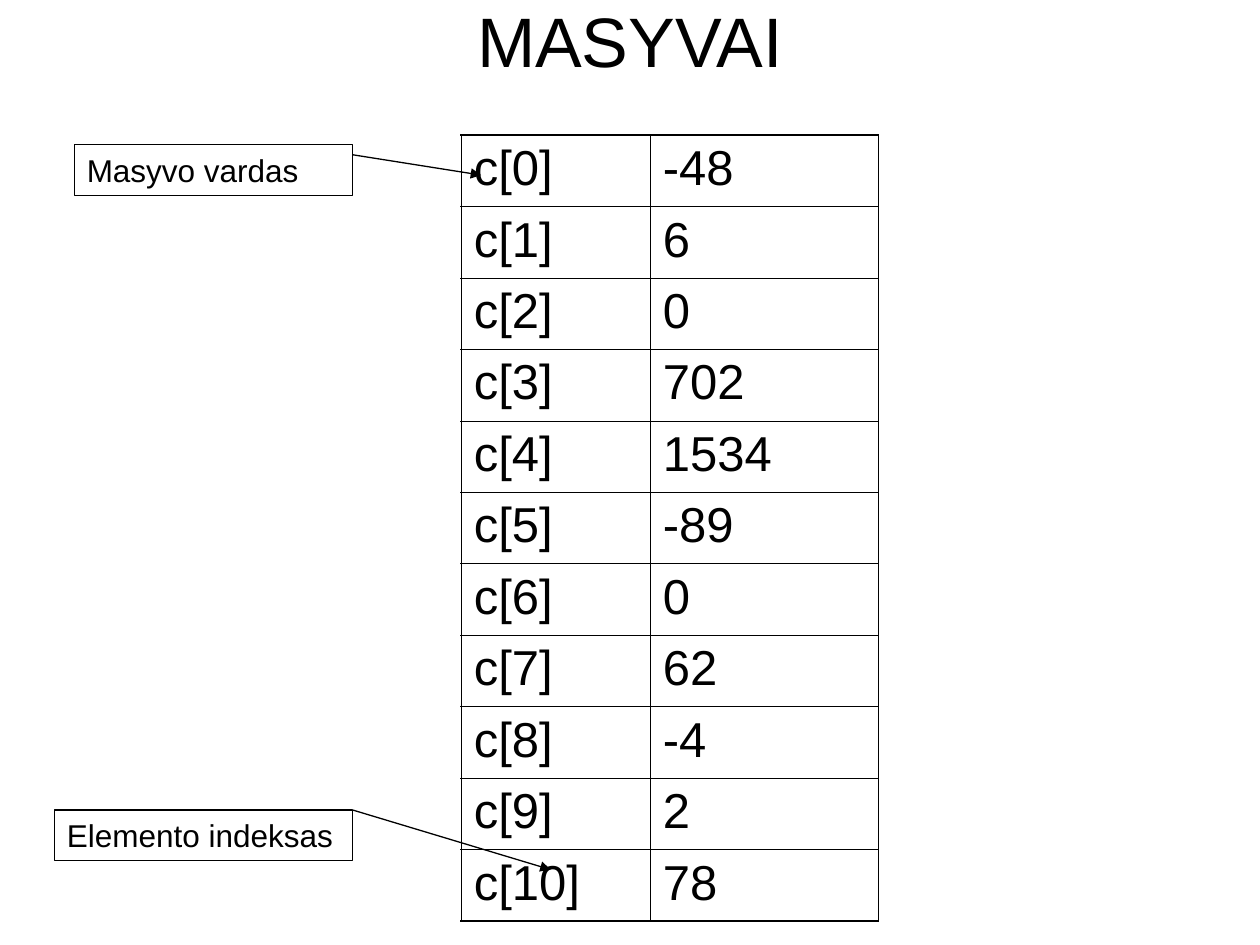
from dataclasses import dataclass

from lxml.etree import SubElement
from pptx import Presentation
from pptx.dml.color import RGBColor
from pptx.enum.shapes import MSO_CONNECTOR, MSO_SHAPE
from pptx.enum.text import MSO_ANCHOR, PP_ALIGN
from pptx.oxml.ns import qn
from pptx.slide import Slide
from pptx.text.text import TextFrame
from pptx.util import Cm, Pt

COLOURS = {"ink": "000000", "paper": "FFFFFF"}
FONT = "Arial"
VALUES = (-48, 6, 0, 702, 1534, -89, 0, 62, -4, 2, 78)
OUTER_BORDER = Pt(1.08)
INNER_BORDER = Pt(0.45)
LABEL_HEIGHT = 1.02


@dataclass(frozen=True)
class Callout:
    text: str
    left: float
    top: float
    width: float
    arrow_start: tuple[float, float]
    arrow_end: tuple[float, float]


CALLOUTS = (
    Callout("Masyvo vardas", 1.5, 2.92, 5.61, (7.11, 3.12), (9.7, 3.53)),
    Callout("Elemento indeksas", 1.1, 16.33, 6.01, (7.11, 16.33), (11.1, 17.53)),
)


def colour(name: str) -> RGBColor:
    """Return a named colour."""
    return RGBColor.from_string(COLOURS[name])


def write_text(frame: TextFrame, text: str, size: float, space_before: float = 0,
               alignment: PP_ALIGN = PP_ALIGN.LEFT) -> None:
    """Write one run into the first paragraph of a frame."""
    frame.word_wrap = True
    para = frame.paragraphs[0]
    para.alignment = alignment
    para.space_before = Pt(space_before)
    span = para.add_run()
    span.text = text
    span.font.name = FONT
    span.font.size = Pt(size)
    span.font.color.rgb = colour("ink")


def add_title(page: Slide, text: str) -> None:
    """Add the centred heading."""
    box = page.shapes.add_textbox(Cm(1.9), Cm(0), Cm(21.6), Cm(1.6))
    box.text_frame.vertical_anchor = MSO_ANCHOR.MIDDLE
    write_text(box.text_frame, text, 40, alignment=PP_ALIGN.CENTER)


def add_border(properties, side: str, width: int) -> None:
    """Add a solid border to one side of a cell."""
    line = SubElement(properties, qn(f"a:ln{side}"), w=str(int(width)))
    fill = SubElement(line, qn("a:solidFill"))
    SubElement(fill, qn("a:srgbClr"), val=COLOURS["ink"])


def add_array_table(page: Slide, values: tuple[int, ...]) -> None:
    """Add a table of the array elements and their values."""
    widths = (Cm(3.81), Cm(4.6))
    height = Cm(15.82)
    last_row = len(values) - 1
    table = page.shapes.add_table(
        len(values), len(widths), Cm(9.3), Cm(2.72), sum(widths), height).table
    table.first_row = False
    table.horz_banding = False
    for column, width in zip(table.columns, widths):
        column.width = width
    for row_index, value in enumerate(values):
        table.rows[row_index].height = height // len(values)
        for column_index, text in enumerate((f"c[{row_index}]", str(value))):
            cell = table.cell(row_index, column_index)
            write_text(cell.text_frame, text, 28, 7)
            outer_sides = {
                "L": column_index == 0,
                "R": column_index == 1,
                "T": row_index == 0,
                "B": row_index == last_row,
            }
            properties = cell._tc.get_or_add_tcPr()
            for side, is_outer in outer_sides.items():
                add_border(properties, side, OUTER_BORDER if is_outer else INNER_BORDER)
            cell.fill.background()


def add_callout(page: Slide, callout: Callout) -> None:
    """Add a framed label and the arrow that leads from it."""
    box = page.shapes.add_shape(
        MSO_SHAPE.RECTANGLE, Cm(callout.left), Cm(callout.top),
        Cm(callout.width), Cm(LABEL_HEIGHT))
    box.shadow.inherit = False
    box.fill.background()
    box.text_frame.vertical_anchor = MSO_ANCHOR.TOP
    write_text(box.text_frame, callout.text, 18, 11.2)
    arrow = page.shapes.add_connector(
        MSO_CONNECTOR.STRAIGHT,
        *(Cm(length) for length in callout.arrow_start + callout.arrow_end))
    for outline in (box.line, arrow.line):
        outline.color.rgb = colour("ink")
        outline.width = Pt(0.75)
    SubElement(arrow.line._get_or_add_ln(), qn("a:tailEnd"), type="triangle")
    SubElement(arrow._element.spPr, qn("a:effectLst"))


def main() -> None:
    """Build and save the slide."""
    deck = Presentation()
    deck.slide_width = Cm(25.4)
    deck.slide_height = Cm(19.05)
    page = deck.slides.add_slide(deck.slide_layouts[6])
    page.background.fill.solid()
    page.background.fill.fore_color.rgb = colour("paper")
    add_title(page, "MASYVAI")
    add_array_table(page, VALUES)
    for callout in CALLOUTS:
        add_callout(page, callout)
    deck.save("out.pptx")


if __name__ == "__main__":
    main()
